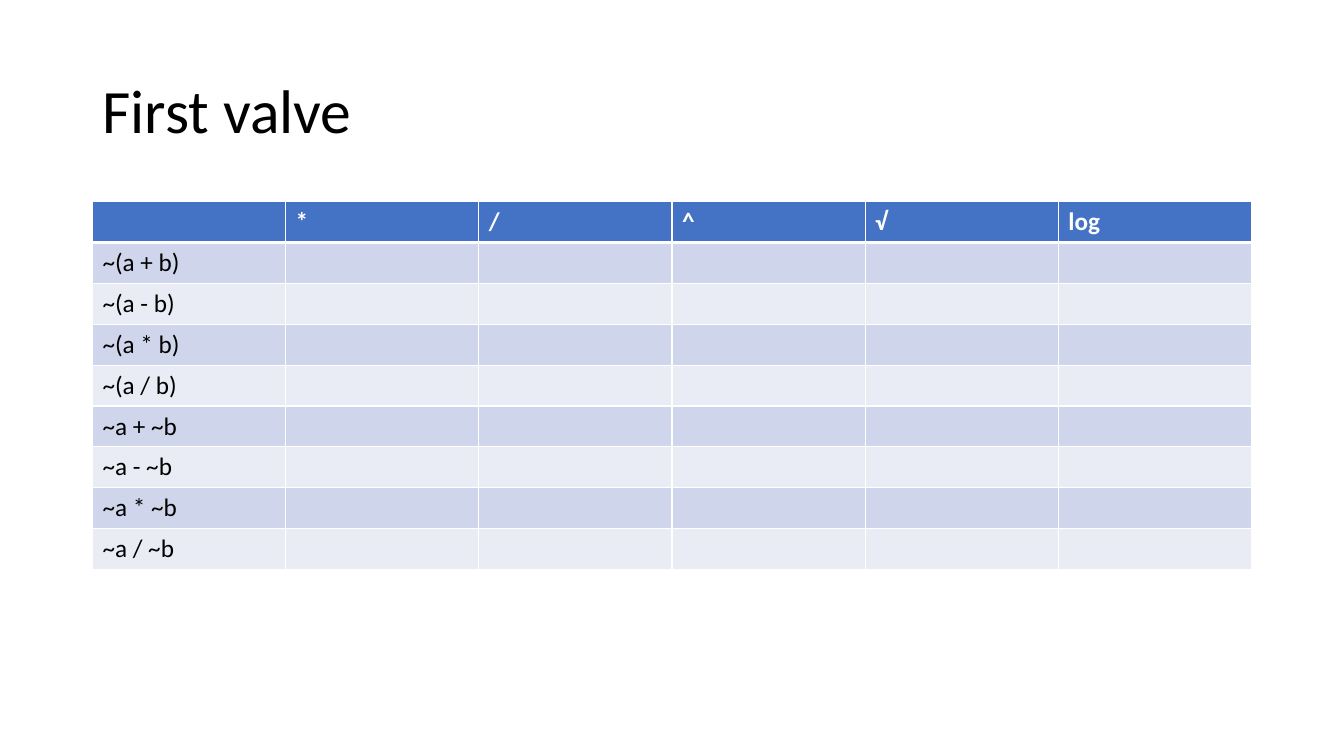
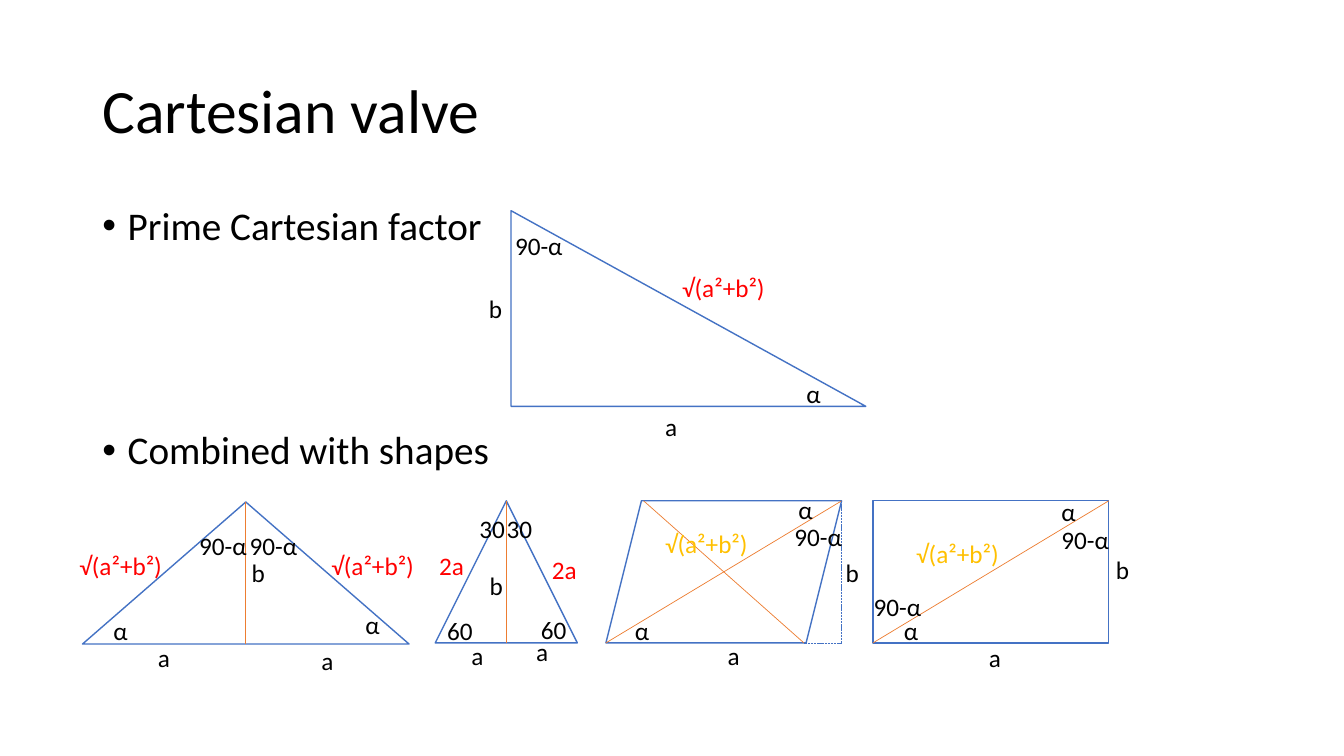
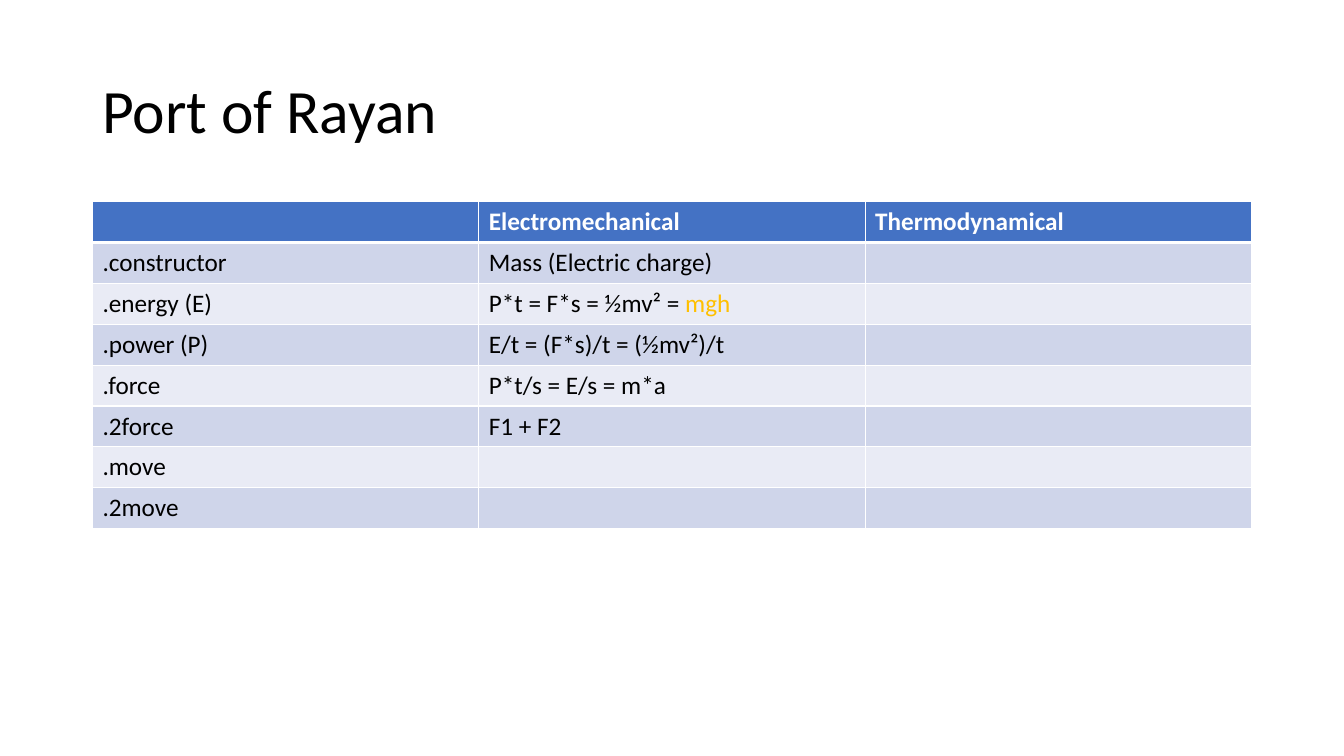
"""Build three slides on valves and ports: two tables and a page of labelled geometry."""
from lxml import etree
from pptx import Presentation
from pptx.dml.color import RGBColor
from pptx.enum.dml import MSO_LINE
from pptx.enum.shapes import MSO_CONNECTOR, MSO_SHAPE
from pptx.enum.text import MSO_ANCHOR
from pptx.oxml.ns import qn
from pptx.util import Cm, Pt

STRAIGHT = MSO_CONNECTOR.STRAIGHT
DASH = MSO_LINE.SQUARE_DOT
MIDDLE = MSO_ANCHOR.MIDDLE
RIGHT_TRIANGLE = MSO_SHAPE.RIGHT_TRIANGLE
TRIANGLE = MSO_SHAPE.ISOSCELES_TRIANGLE
PARALLELOGRAM = MSO_SHAPE.PARALLELOGRAM
RECTANGLE = MSO_SHAPE.RECTANGLE

COLORS = {"black": "000000", "white": "FFFFFF", "blue": "4472C4", "orange": "ED7D31",
          "red": "FF0000", "gold": "FFC000", "band_dark": "CFD5EA", "band_light": "E9EBF5"}
FONT = "Calibri"
MARGIN, CONTENT_WIDTH, CONTENT_TOP = 2.33, 29.21, 5.08
ROW_HEIGHT = 1.03


def rgb(name):
    return RGBColor.from_string(COLORS[name])


def write(paragraph, text, size=18, color="black", bold=False, spacing=None, before=None):
    run = paragraph.add_run()
    run.text = text
    run.font.name, run.font.size, run.font.bold = FONT, Pt(size), bold
    run.font.color.rgb = rgb(color)
    if spacing:
        paragraph.line_spacing = spacing
    if before is not None:
        paragraph.space_before = Pt(before)


deck = Presentation()
deck.slide_width, deck.slide_height = Cm(33.87), Cm(19.05)

slides = []
for title in ("First valve", "Cartesian valve", "Port of Rayan"):
    slide = deck.slides.add_slide(deck.slide_layouts[6])
    heading = slide.shapes.add_textbox(Cm(MARGIN), Cm(1.01), Cm(CONTENT_WIDTH), Cm(3.68)).text_frame
    heading.word_wrap = True
    heading.vertical_anchor = MIDDLE
    write(heading.paragraphs[0], title, size=44, spacing=0.9)
    slides.append(slide)
valve_slide, cartesian_slide, port_slide = slides

valve_rows = [["", "*", "/", "^", "√", "log"]]
valve_rows += [[formula] + [""] * 5 for formula in (
    "~(a + b)", "~(a - b)", "~(a * b)", "~(a / b)", "~a + ~b", "~a - ~b", "~a * ~b", "~a / ~b")]
port_rows = [
    ["", "Electromechanical", "Thermodynamical"],
    [".constructor", "Mass (Electric charge)", ""],
    [".energy (E)", "P*t = F*s = ½mv² = |mgh", ""],
    [".power (P)", "E/t = (F*s)/t = (½mv²)/t", ""],
    [".force", "P*t/s = E/s = m*a", ""],
    [".2force", "F1 + F2", ""],
    [".move", "", ""],
    [".2move", "", ""],
]

for slide, rows in ((valve_slide, valve_rows), (port_slide, port_rows)):
    table = slide.shapes.add_table(len(rows), len(rows[0]), Cm(MARGIN), Cm(CONTENT_TOP),
                                   Cm(CONTENT_WIDTH), Cm(ROW_HEIGHT * len(rows))).table
    for r, row in enumerate(rows):
        table.rows[r].height = Cm(ROW_HEIGHT)
        header = r == 0
        band = "blue" if header else ("band_light", "band_dark")[r % 2]
        for c, text in enumerate(row):
            cell = table.cell(r, c)
            cell_properties = cell._tc.get_or_add_tcPr()
            for side in ("lnL", "lnR", "lnT", "lnB"):
                heavy = (r, side) in ((0, "lnB"), (1, "lnT"))
                border = etree.SubElement(cell_properties, qn("a:" + side), w=str(Pt(3 if heavy else 1)))
                paint = etree.SubElement(border, qn("a:solidFill"))
                etree.SubElement(paint, qn("a:srgbClr"), val=COLORS["white"])
            cell.fill.solid()
            cell.fill.fore_color.rgb = rgb(band)
            plain, _, highlight = text.partition("|")
            for part, color in ((plain, "white" if header else "black"), (highlight, "gold")):
                if part:
                    write(cell.text_frame.paragraphs[0], part, color=color, bold=header)

outline = cartesian_slide.shapes.add_textbox(
    Cm(MARGIN), Cm(CONTENT_TOP), Cm(CONTENT_WIDTH), Cm(12.09)).text_frame
outline.word_wrap = True
for point, before in (("Prime Cartesian factor", 10), ("Combined with shapes", 130)):
    paragraph = outline.add_paragraph() if before > 10 else outline.paragraphs[0]
    write(paragraph, point, size=28, spacing=0.9, before=before)
    bullet_properties = paragraph._p.get_or_add_pPr()
    bullet_properties.set("marL", str(Cm(0.64)))
    bullet_properties.set("indent", str(Cm(-0.64)))
    etree.SubElement(bullet_properties, qn("a:buFont"), typeface="Arial")
    etree.SubElement(bullet_properties, qn("a:buChar"), char="•")

ROOT, ANGLE, REST = "√(a²+b²)", "α", "90-α"
LABEL_WIDTHS = {"a": 0.84, "b": 0.84, ANGLE: 0.72, REST: 1.8, ROOT: 2.82,
                "60": 1.17, "30": 1.17, "2a": 1.27}
ALTITUDE = (0.5, 0, 0.5, 1)
DIAGONAL = (1, 0, 0, 1)

# Each figure: outline, box, colour of the derived side, inner lines and dashes as
# fractions of the box, then labels as offsets from its corner.
figures = [
    (RIGHT_TRIANGLE, (12.88, 5.31, 8.94, 4.93), "red", [], [], [
        ("a", 3.63, 4.93), ("b", -0.81, 1.96), (ROOT, 4.06, 1.42),
        (ANGLE, 7.19, 4.09), (REST, -0.15, 0.36)]),
    (TRIANGLE, (2.08, 12.65, 8.23, 3.58), "red", [ALTITUDE], [], [
        ("a", 5.77, 3.48), ("a", 1.65, 3.4), ("b", 4.01, 1.27),
        (ROOT, -0.33, 1.09), (ROOT, 6.02, 1.09), (ANGLE, 6.88, 2.59),
        (ANGLE, 0.53, 2.72), (REST, 3.96, 0.58), (REST, 2.69, 0.58)]),
    (TRIANGLE, (10.97, 12.62, 3.58, 3.58), "red", [ALTITUDE], [], [
        ("60", 2.41, 2.74), ("60", 0.05, 2.77), ("30", 1.55, 0.18),
        ("a", 2.29, 3.3), ("a", 0.66, 3.38), ("b", 1.12, 1.63),
        ("2a", 2.69, 1.22), ("2a", -0.15, 1.12), ("30", 0.86, 0.2)]),
    (PARALLELOGRAM, (15.27, 12.62, 5.94, 3.58), "gold",
     [DIAGONAL, (0.16, 0, 0.84, 1)], [(1, 1, 1, 0), (1, 1, 0.84, 1)], [
        ("a", 2.82, 3.38), ("b", 5.79, 1.3), (ANGLE, 4.6, -0.28),
        (ANGLE, 0.48, 2.77), (REST, 4.5, 0.38), (ROOT, 1.24, 0.58)]),
    (RECTANGLE, (22, 12.62, 5.94, 3.58), "gold", [DIAGONAL], [], [
        (ANGLE, 0.53, 2.77), (ANGLE, 4.5, -0.25), ("a", 2.67, 3.43),
        ("b", 5.87, 1.22), (REST, -0.23, 2.16), (REST, 4.5, 0.48), (ROOT, 0.84, 0.81)]),
]

for kind, (left, top, width, height), side_color, inner_lines, extensions, labels in figures:
    figure = cartesian_slide.shapes.add_shape(kind, Cm(left), Cm(top), Cm(width), Cm(height))
    figure.shadow.inherit = False
    figure.fill.solid()
    figure.fill.fore_color.rgb = rgb("white")
    figure.line.color.rgb = rgb("blue")
    figure.line.width = Pt(1)
    for x1, y1, x2, y2 in inner_lines + extensions:
        segment = cartesian_slide.shapes.add_connector(
            STRAIGHT, Cm(left + x1 * width), Cm(top + y1 * height),
            Cm(left + x2 * width), Cm(top + y2 * height))
        dashed = (x1, y1, x2, y2) in extensions
        segment.line.color.rgb = rgb("blue" if dashed else "orange")
        segment.line.width = Pt(0.5)
        if dashed:
            segment.line.dash_style = DASH
        etree.SubElement(segment._element.spPr, qn("a:effectLst"))
    for text, dx, dy in labels:
        label = cartesian_slide.shapes.add_textbox(
            Cm(left + dx), Cm(top + dy), Cm(LABEL_WIDTHS[text]), Cm(1.03)).text_frame
        label.word_wrap = True
        write(label.paragraphs[0], text, color=side_color if text in (ROOT, "2a") else "black")

deck.save("out.pptx")
